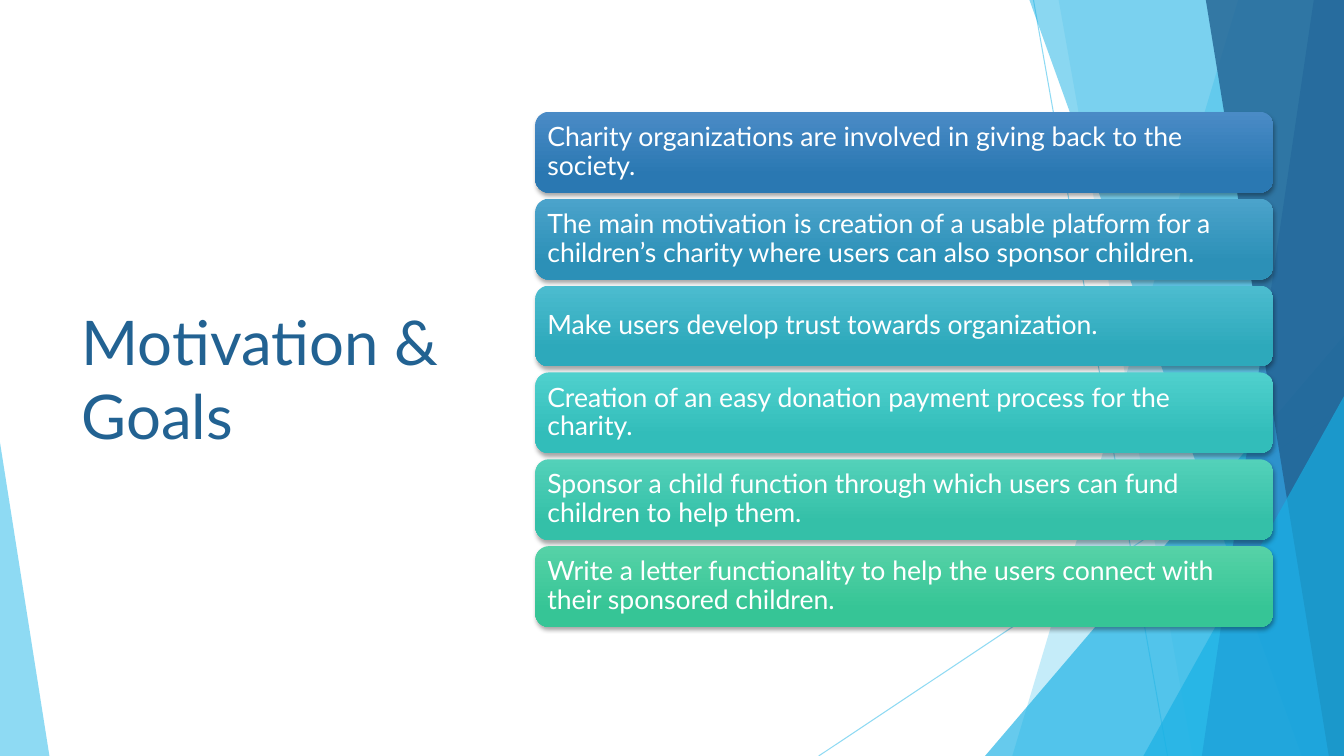
from lxml import etree
from pptx import Presentation
from pptx.dml.color import RGBColor as RGB
from pptx.enum.shapes import MSO_CONNECTOR as LINK, MSO_SHAPE as SHAPE
from pptx.enum.text import MSO_ANCHOR as ANCHOR, PP_ALIGN as ALIGN
from pptx.oxml import parse_xml
from pptx.oxml.ns import nsdecls, qn
from pptx.util import Inches, Pt

FONT = "Lato"
WHITE = RGB(0xFF, 0xFF, 0xFF)
SKY = RGB(0x5F, 0xCB, 0xEF)
AQUA = RGB(0x17, 0xB0, 0xE4)
BLUE = RGB(0x2E, 0x83, 0xC3)
NAVY = RGB(0x22, 0x62, 0x92)

GOALS = [
    ("Charity organizations are involved in giving back to the society.",
     RGB(0x4A, 0x8B, 0xC6), RGB(0x2A, 0x78, 0xB2)),
    ("The main motivation is creation of a usable platform for a "
     "children’s charity where users can also sponsor children.",
     RGB(0x4B, 0xA3, 0xCB), RGB(0x2C, 0x90, 0xB7)),
    ("Make users develop trust towards organization.",
     RGB(0x4C, 0xBC, 0xCF), RGB(0x2D, 0xA9, 0xBB)),
    ("Creation of an easy donation payment process for the charity.",
     RGB(0x4F, 0xD0, 0xCD), RGB(0x32, 0xBD, 0xBA)),
    ("Sponsor a child function through which users can fund children to help them.",
     RGB(0x53, 0xD1, 0xB9), RGB(0x34, 0xC0, 0xA8)),
    ("Write a letter functionality to help the users connect with "
     "their sponsored children.",
     RGB(0x56, 0xD2, 0xA7), RGB(0x36, 0xC5, 0x96)),
]


def fade(fill, alpha):
    """Make a solid fill see-through, with alpha in percent."""
    color = fill._xPr.find(qn("a:solidFill"))[0]
    etree.SubElement(color, qn("a:alpha"), val=str(alpha * 1000))


def tint(shape, color, alpha):
    """Give a shape a see-through fill with no line or shadow."""
    shape.shadow.inherit = False
    shape.fill.solid()
    shape.fill.fore_color.rgb = color
    fade(shape.fill, alpha)
    shape.line.fill.background()


def ray(slide, start, end):
    """Draw a thin see-through line."""
    line = slide.shapes.add_connector(
        LINK.STRAIGHT, *(Inches(v) for v in (*start, *end)))
    line.line.color.rgb = SKY
    line.line.width = Pt(0.75)
    fade(line.line.fill, 70)
    etree.SubElement(line._element.spPr, qn("a:effectLst"))


def slab(slide, box, top, base, color, alpha):
    """Fill the box from a slanted left edge to its right side."""
    x, y, w, h = box
    spots = [(x + top, y), (x + w, y), (x + w, y + h), (x + base, y + h)]
    first, *rest = [(Inches(a), Inches(b)) for a, b in spots]
    build = slide.shapes.build_freeform(*first)
    build.add_line_segments(rest)
    tint(build.convert_to_shape(), color, alpha)


def peak(slide, box, left, wide, high, tip, color, alpha):
    """Stand a right triangle on the bottom of the box."""
    x, y, w, h = box
    shape = slide.shapes.add_shape(
        SHAPE.ISOSCELES_TRIANGLE, Inches(x + left), Inches(y + h - high),
        Inches(wide), Inches(high))
    shape.adjustments[0] = tip
    tint(shape, color, alpha)


def facets(slide, box):
    """Draw the layered backdrop over the box."""
    x, y, w, h = box
    ray(slide, (x + 10.25, y), (x + 11.58, y + h))
    ray(slide, (x + w, y + 4.03), (x + 8.12, y + h))
    slab(slide, box, 12.28, 10.04, SKY, 36)
    slab(slide, box, 10.5, 11.83, SKY, 20)
    peak(slide, box, 9.77, 3.56, 4.17, 1, AQUA, 66)
    slab(slide, box, 10.21, 12.91, AQUA, 50)
    slab(slide, box, 13.03, 11.92, BLUE, 70)
    slab(slide, box, 11.96, 13.18, NAVY, 80)
    peak(slide, box, 11.34, 1.99, 3.57, 1, AQUA, 66)
    peak(slide, box, 0, 0.49, 3.11, 0, SKY, 70)


def write(frame, text, size, color):
    """Put one left-aligned paragraph in the middle of a frame."""
    frame.word_wrap = True
    frame.vertical_anchor = ANCHOR.MIDDLE
    para = frame.paragraphs[0]
    para.text = text
    para.alignment = ALIGN.LEFT
    para.font.name = FONT
    para.font.size = Pt(size)
    para.font.color.rgb = color
    return para


def title(slide, box, text):
    """Write the slide title in the box."""
    area = slide.shapes.add_textbox(*(Inches(v) for v in box))
    write(area.text_frame, text, 44, NAVY)


def card(slide, box, text, light, dark):
    """Draw one shaded goal card filling the box."""
    shape = slide.shapes.add_shape(
        SHAPE.ROUNDED_RECTANGLE, *(Inches(v) for v in box))
    shape.fill.gradient()
    shape.fill.gradient_angle = 270
    for stop, color, spot in zip(shape.fill.gradient_stops, (light, dark), (0, 0.78)):
        stop.color.rgb = color
        stop.position = spot
    shape.line.fill.background()
    shape._element.spPr.append(parse_xml(
        f'<a:effectLst {nsdecls("a")}>'
        f'<a:outerShdw blurRad="{Pt(3)}" dist="{Pt(2)}" dir="5400000" rotWithShape="0">'
        '<a:srgbClr val="000000"><a:alpha val="35000"/></a:srgbClr>'
        '</a:outerShdw></a:effectLst>'))
    frame = shape.text_frame
    frame.margin_left = frame.margin_right = Inches(0.08)
    frame.margin_top = frame.margin_bottom = Inches(0.08)
    write(frame, text, 19, WHITE).line_spacing = 0.9


def stack(slide, box, goals):
    """Stack the goal cards evenly down the box."""
    x, y, w, h = box
    gap = 0.06
    high = (h + gap) / len(goals) - gap
    for i, goal in enumerate(goals):
        card(slide, (x, y + i * (high + gap), w, high), *goal)


def main():
    """Build and save the slide."""
    deck = Presentation()
    deck.slide_width, deck.slide_height = Inches(13.33), Inches(7.5)
    slide = deck.slides.add_slide(deck.slide_layouts[6])
    facets(slide, (0, 0, 13.33, 7.5))
    title(slide, (0.71, 1.51, 3.88, 4.48), "Motivation & Goals")
    stack(slide, (5.31, 1.11, 7.32, 5.11), GOALS)
    deck.save("out.pptx")


if __name__ == "__main__":
    main()
